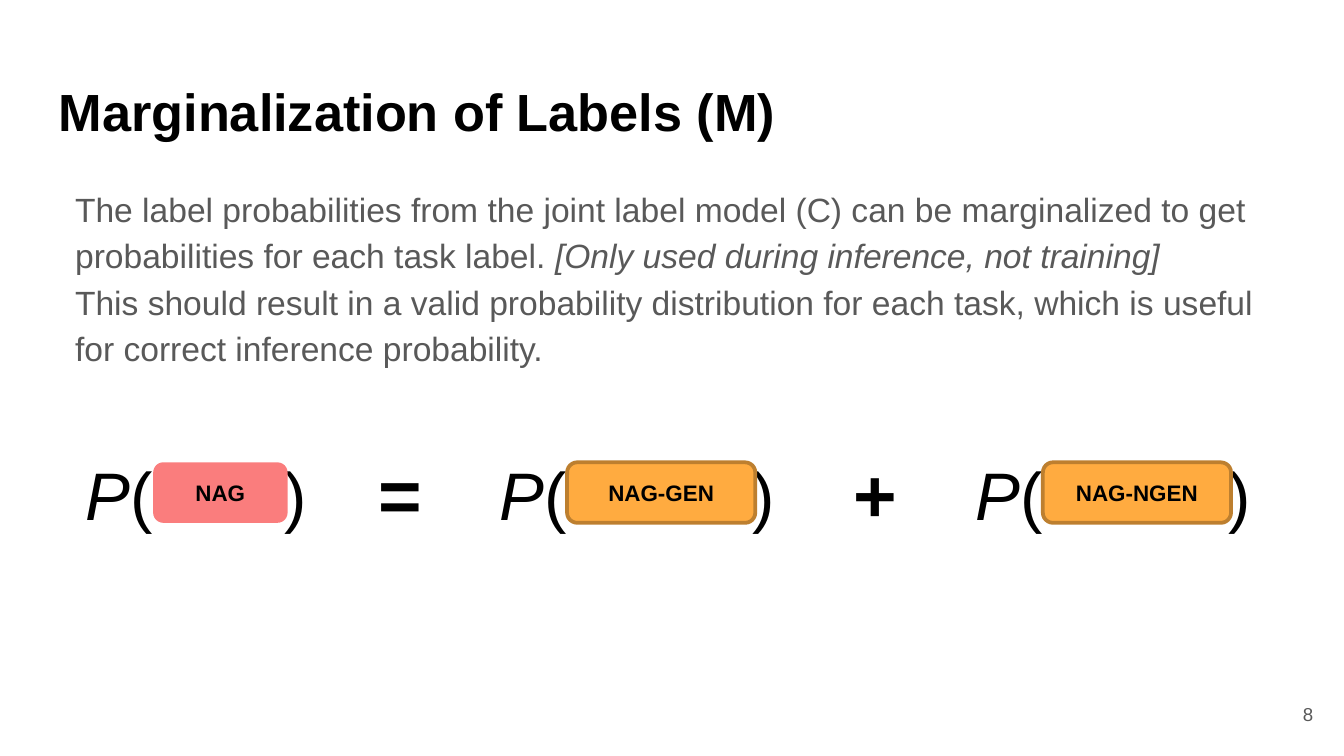
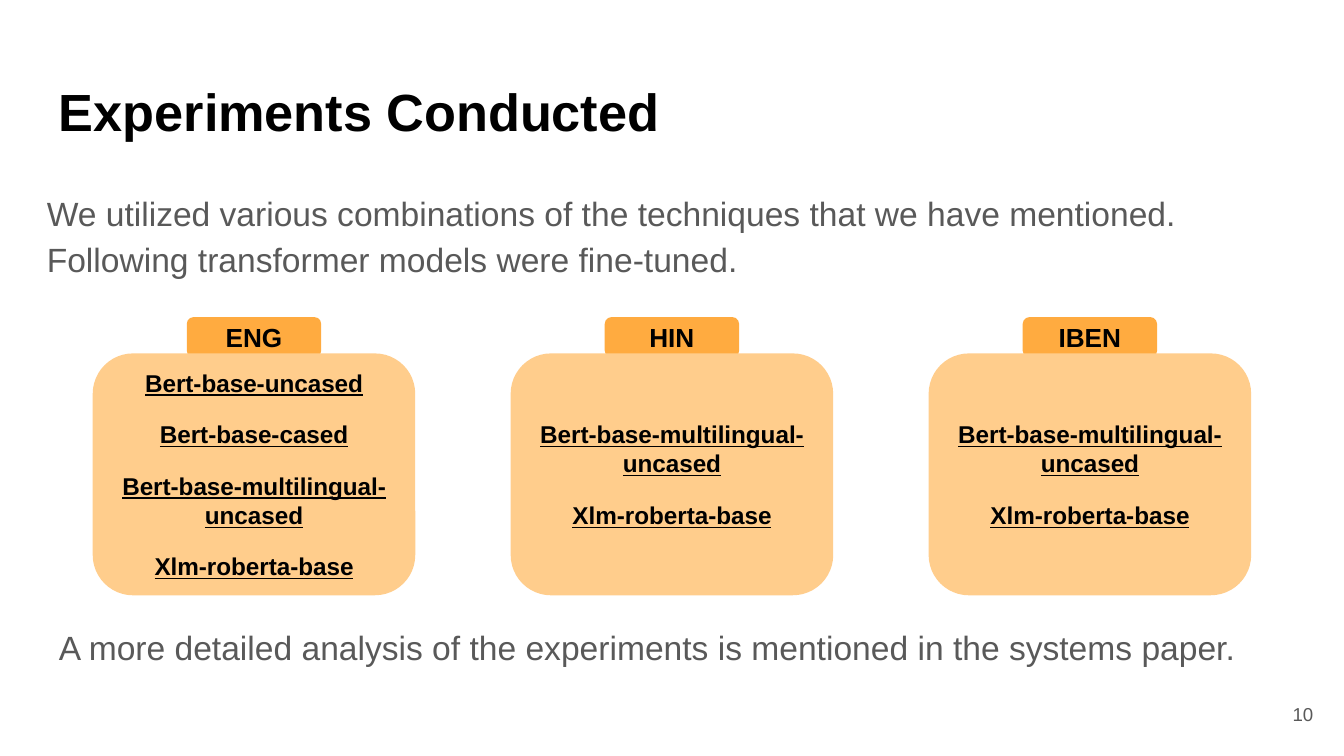
from lxml.etree import SubElement
from pptx import Presentation
from pptx.dml.color import RGBColor
from pptx.enum.shapes import MSO_SHAPE
from pptx.enum.text import MSO_ANCHOR, PP_ALIGN
from pptx.oxml.ns import qn
from pptx.util import Inches, Pt

PAGE_WIDTH = 10
PAGE_HEIGHT = PAGE_WIDTH * 9 / 16
FONT = "Arial"
BLACK = "000000"
GRAY = "595959"
ORANGE = "FFAB40"
BROWN = "BD7F2F"
PEACH = "FFCD8C"
CORAL = "FA7D7D"
BODY = dict(size=18, color=GRAY, line_spacing=1.15)
MULTILINGUAL = ["Bert-base-multilingual-uncased", "Xlm-roberta-base"]


def color_of(value):
    return RGBColor.from_string(value)


def add_tab(para, position):
    properties = para._p.get_or_add_pPr()
    tabs = SubElement(properties, qn("a:tabLst"))
    SubElement(tabs, qn("a:tab"), pos=str(Inches(position)), algn="l")


def write(shape, paragraphs, size=18, color=BLACK, bold=False, underline=False,
          align=PP_ALIGN.LEFT, anchor=MSO_ANCHOR.TOP, line_spacing=None,
          space_after=None, indent=None, tab=None, inset=0.05):
    frame = shape.text_frame
    frame.word_wrap = True
    frame.vertical_anchor = anchor
    frame.margin_left = frame.margin_right = Inches(0.1)
    frame.margin_top = frame.margin_bottom = Inches(inset)
    for index, content in enumerate(paragraphs):
        para = frame.paragraphs[0] if index == 0 else frame.add_paragraph()
        para.alignment = align
        if line_spacing:
            para.line_spacing = line_spacing
        if space_after:
            para.space_after = Pt(space_after)
        if indent:
            para._p.get_or_add_pPr().set("marL", str(Inches(indent)))
        if tab:
            add_tab(para, tab)
        spans = [(content, False)] if isinstance(content, str) else content
        for text, italic in spans:
            span = para.add_run()
            span.text = text
            font = span.font
            font.name = FONT
            font.size = Pt(size)
            font.bold = bold
            font.italic = italic
            font.underline = underline
            font.color.rgb = color_of(color)


def add_text(parent, bounds, paragraphs, **text_format):
    box = parent.shapes.add_textbox(*map(Inches, bounds))
    write(box, paragraphs, **text_format)


def add_rounded(parent, bounds, paragraphs, fill, line=None, **text_format):
    shape = parent.shapes.add_shape(MSO_SHAPE.ROUNDED_RECTANGLE, *map(Inches, bounds))
    shape.shadow.inherit = False
    shape.fill.solid()
    shape.fill.fore_color.rgb = color_of(fill)
    if line:
        shape.line.color.rgb = color_of(line)
        shape.line.width = Pt(2)
    else:
        shape.line.fill.background()
    write(shape, paragraphs, bold=True, align=PP_ALIGN.CENTER,
          anchor=MSO_ANCHOR.MIDDLE, **text_format)


def add_page(deck, title, number):
    page = deck.slides.add_slide(deck.slide_layouts[6])
    add_text(page, (0.34, 0.49, 9.32, 0.63), [title], size=28, bold=True, inset=0.1)
    add_text(page, (9.27, 5.1, 0.6, 0.43), [str(number)], size=10, color=GRAY,
             align=PP_ALIGN.RIGHT, anchor=MSO_ANCHOR.MIDDLE, inset=0.1)
    return page


def add_probability(group, left, top, label, label_width, fill, line=None):
    add_text(group, (left, top, label_width + 0.9, 0.71),
             [[("P", True), ("(\t)", False)]], size=36, tab=label_width + 0.48)
    add_rounded(group, (left + 0.6, top + 0.12, label_width, 0.45), [label],
                fill, line, size=12)


def add_operator(group, left, top, symbol):
    add_text(group, (left, top, 0.59, 0.77), [symbol], size=40, bold=True)


def add_equation(page, left, top):
    group = page.shapes.add_group_shape()
    add_probability(group, left, top, "NAG", 1, CORAL)
    add_operator(group, left + 2.18, top - 0.04, "=")
    add_probability(group, left + 3.08, top, "NAG-GEN", 1.4, ORANGE, BROWN)
    add_operator(group, left + 5.71, top - 0.04, "+")
    add_probability(group, left + 6.62, top, "NAG-NGEN", 1.4, ORANGE, BROWN)


def add_language_card(page, left, top, language, models):
    group = page.shapes.add_group_shape()
    add_rounded(group, (left + 0.7, top, 1, 0.3), [language], ORANGE, size=14)
    add_rounded(group, (left, top + 0.27, 2.4, 1.8), models, PEACH,
                size=13, underline=True, space_after=12)


def build_marginalization(deck):
    page = add_page(deck, "Marginalization of Labels (M)", 8)
    add_text(page, (0.34, 1.26, 9.32, 1.55), [
        [("The label probabilities from the joint label model (C) can be marginalized "
          "to get probabilities for each task label. ", False),
         ("[Only used during inference, not training]", True)],
        "This should result in a valid probability distribution for each task, "
        "which is useful for correct inference probability.",
    ], indent=0.12, inset=0.1, **BODY)
    add_equation(page, 0.54, 3.32)


def build_experiments(deck):
    page = add_page(deck, "Experiments Conducted", 10)
    add_text(page, (0.25, 1.29, 9.32, 0.76), [
        "We utilized various combinations of the techniques that we have mentioned. "
        "Following transformer models were fine-tuned.",
    ], space_after=16, inset=0.1, **BODY)
    cards = [
        ("ENG", ["Bert-base-uncased", "Bert-base-cased"] + MULTILINGUAL),
        ("HIN", MULTILINGUAL),
        ("IBEN", MULTILINGUAL),
    ]
    for index, (language, models) in enumerate(cards):
        add_language_card(page, 0.69 + index * 3.11, 2.36, language, models)
    add_text(page, (0.34, 4.57, 9.22, 0.42), [
        "A more detailed analysis of the experiments is mentioned in the systems paper.",
    ], space_after=16, **BODY)


def main():
    deck = Presentation()
    deck.slide_width = Inches(PAGE_WIDTH)
    deck.slide_height = Inches(PAGE_HEIGHT)
    build_marginalization(deck)
    build_experiments(deck)
    deck.save("out.pptx")


if __name__ == "__main__":
    main()
